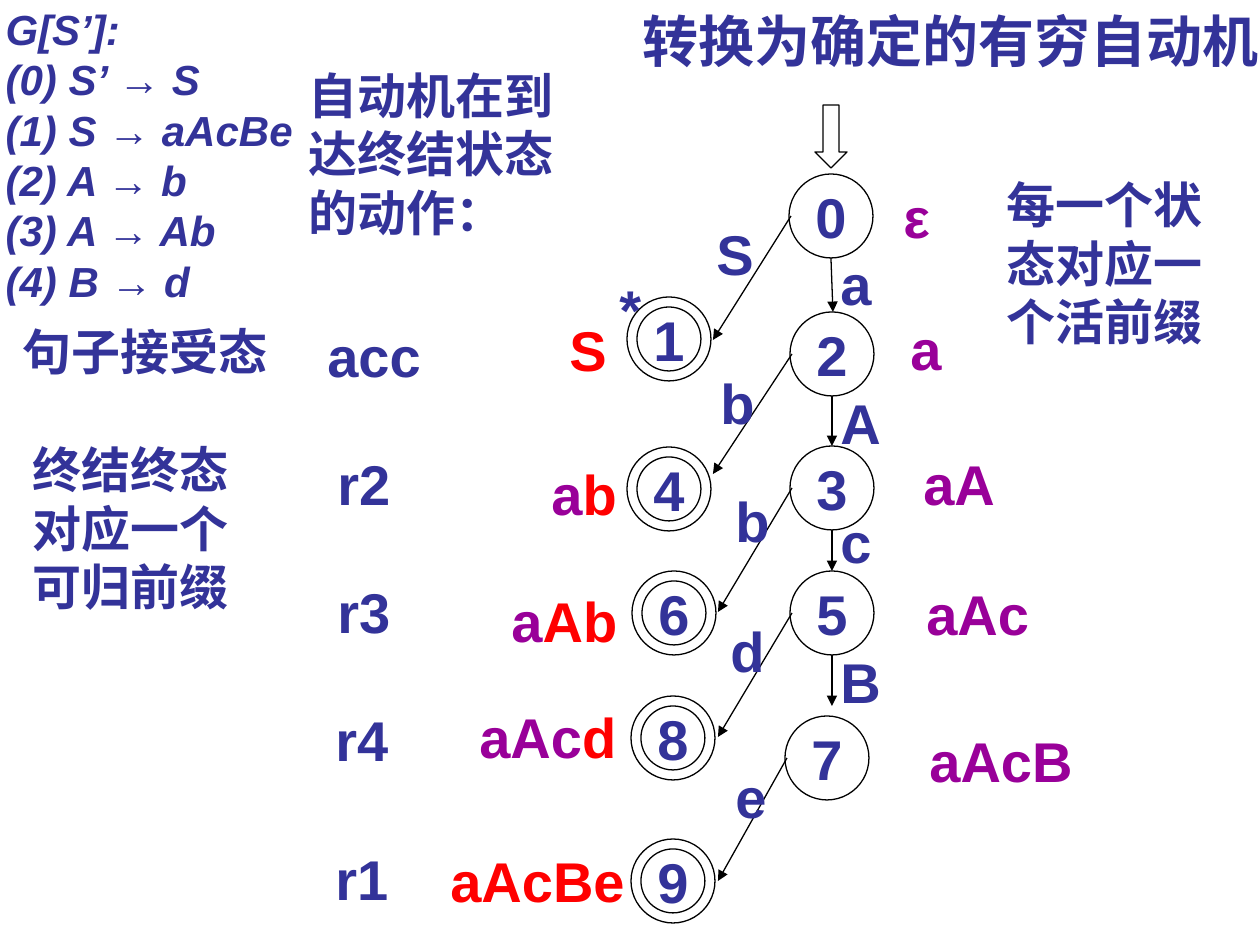
from lxml import etree
from pptx import Presentation
from pptx.dml.color import RGBColor
from pptx.enum.shapes import MSO_CONNECTOR, MSO_SHAPE
from pptx.enum.text import MSO_ANCHOR, MSO_AUTO_SIZE, PP_ALIGN
from pptx.oxml.ns import qn
from pptx.util import Pt

PX = 914400 // 126
STRAIGHT = MSO_CONNECTOR.STRAIGHT
OVAL, DOWN_ARROW = MSO_SHAPE.OVAL, MSO_SHAPE.DOWN_ARROW
TOP, MIDDLE = MSO_ANCHOR.TOP, MSO_ANCHOR.MIDDLE
LEFT, CENTER = PP_ALIGN.LEFT, PP_ALIGN.CENTER
NO_FIT = MSO_AUTO_SIZE.NONE

BLUE = RGBColor(0x33, 0x33, 0x99)
PURPLE = RGBColor(0x99, 0x00, 0x99)
RED = RGBColor(0xFF, 0x00, 0x00)
BLACK = RGBColor(0x00, 0x00, 0x00)
WHITE = RGBColor(0xFF, 0xFF, 0xFF)
FONT = "Arial"
CIRCLE, RING, LINE_HEIGHT, ACTION_WIDTH = 84, 10, 81, 126

# Content: positions are left, top (and width, height) in px
TITLE = ("转换为确定的有穷自动机", (630, 0, 689, LINE_HEIGHT))
GRAMMAR = (
    ["G[S’]:", "(0) S’ → S", "(1) S → aAcBe", "(2) A → b", "(3) A → Ab", "(4) B → d"],
    (-7, -3, 341, 318),
)
STATES = {"0": (789, 174), "2": (790, 312), "3": (790, 446), "5": (790, 571), "7": (785, 716)}
FINAL_STATES = {"8": (631, 696), "9": (631, 839), "6": (632, 571), "4": (627, 447), "1": (627, 297)}

# Source state, arrow end, label, label position
DOWN_EDGES = [
    ("0", (833, 312), "a", (828, 243)),
    ("2", (832, 446), "A", (828, 382)),
    ("3", (832, 571), "c", (828, 501)),
    ("5", (832, 706), "B", (828, 641)),
]
LEFT_EDGES = [
    ("0", (713, 340), "S", (704, 213)),
    ("2", (713, 474), "b", (708, 362)),
    ("3", (718, 612), "b", (723, 480)),
    ("5", (718, 737), "d", (718, 610)),
    ("7", (718, 881), "e", (723, 756)),
]
# Coloured pieces, position and width
PREFIXES = [
    ([("ε", PURPLE)], (891, 176, 62)),
    ([("S", RED)], (557, 309, 82)),
    ([("a", PURPLE)], (898, 308, 57)),
    ([("a", PURPLE), ("b", RED)], (539, 453, 91)),
    ([("aA", PURPLE)], (911, 443, 98)),
    ([("a", PURPLE), ("Ab", RED)], (499, 580, 132)),
    ([("aAc", PURPLE)], (914, 573, 129)),
    ([("aAc", PURPLE), ("d", RED)], (467, 696, 164)),
    ([("aAcB", PURPLE)], (917, 720, 170)),
    ([("aAcBe", RED)], (438, 840, 202)),
]
ACTIONS = [
    ("acc", (315, 315)),
    ("r2", (325, 443)),
    ("r3", (325, 571)),
    ("r4", (323, 699)),
    ("r1", (323, 838)),
]
NOTES = [
    (["句子接受态"], (10, 315, 369, 72)),
    (["终结终态", "对应一个", "可归前缀"], (20, 433, 273, 190)),
    (["每一个状态对应一个活前缀"], (994, 168, 260, 190)),
    (["自动机在到达终结状态的动作："], (296, 59, 295, 190)),
]
ACCEPT_MARK = ("*", (607, 268, 59, LINE_HEIGHT))
START_ARROW = (815, 105, 32, 63)


def emu(*lengths):
    return [length * PX for length in lengths]


def style_font(font, size, color=BLUE):
    font.name, font.size, font.bold = FONT, Pt(size), True
    font.color.rgb = color


def fill_frame(frame, lines, size):
    frame.text = "\n".join(lines)
    for para in frame.paragraphs:
        for span in para.runs:
            style_font(span.font, size)


def add_text(slide, lines, area, size=32):
    box = slide.shapes.add_textbox(*emu(*area))
    box.text_frame.word_wrap = True
    fill_frame(box.text_frame, lines, size)


def add_prefix(slide, pieces, place):
    box = slide.shapes.add_textbox(*emu(*place, LINE_HEIGHT))
    box.text_frame.word_wrap = False
    para = box.text_frame.paragraphs[0]
    for text, color in pieces:
        span = para.add_run()
        span.text = text
        style_font(span.font, 32, color)


def add_outline(shapes, kind, area):
    shape = shapes.add_shape(kind, *emu(*area))
    shape.shadow.inherit = False
    shape.fill.solid()
    shape.fill.fore_color.rgb = WHITE
    shape.line.color.rgb = BLACK
    shape.line.width = Pt(0.75)
    return shape


def add_circle(shapes, left, top, size, name=None):
    circle = add_outline(shapes, OVAL, (left, top, size, size))
    if name:
        frame = circle.text_frame
        frame.word_wrap = False
        frame.vertical_anchor = MIDDLE
        fill_frame(frame, [name], 32)
        frame.paragraphs[0].alignment = CENTER


def add_edge(slide, start, end, label, place):
    arrow = slide.shapes.add_connector(STRAIGHT, *emu(*start, *end))
    arrow.line.color.rgb = BLACK
    arrow.line.width = Pt(0.75)
    etree.SubElement(arrow.line._get_or_add_ln(), qn("a:tailEnd"), type="triangle")
    etree.SubElement(arrow._element.spPr, qn("a:effectLst"))
    add_text(slide, [label], (*place, CIRCLE, LINE_HEIGHT))


def fill_placeholder(holder, lines, area, size):
    holder.left, holder.top, holder.width, holder.height = emu(*area)
    frame = holder.text_frame
    frame.auto_size = NO_FIT
    frame.vertical_anchor = TOP
    fill_frame(frame, lines, size)
    for para in frame.paragraphs:
        properties = para._p.get_or_add_pPr()
        properties.set("marL", "0")
        properties.set("indent", "0")
        etree.SubElement(properties, qn("a:buNone"))
        para.alignment = LEFT
        para.space_before = Pt(0)


def main():
    deck = Presentation()
    deck.slide_width, deck.slide_height = emu(1260, 945)
    slide = deck.slides.add_slide(deck.slide_layouts[1])

    # Title and grammar
    title, body = slide.placeholders
    fill_placeholder(title, [TITLE[0]], TITLE[1], 32)
    fill_placeholder(body, *GRAMMAR, 24)
    for para in body.text_frame.paragraphs:
        para.runs[0].font.italic = True

    # States
    for name, (left, top) in STATES.items():
        add_circle(slide.shapes, left, top, CIRCLE, name)
    for name, (left, top) in FINAL_STATES.items():
        group = slide.shapes.add_group_shape()
        add_circle(group.shapes, left, top, CIRCLE)
        add_circle(group.shapes, left + RING, top + RING, CIRCLE - 2 * RING, name)

    # Transitions
    add_outline(slide.shapes, DOWN_ARROW, START_ARROW)
    for source, end, label, place in DOWN_EDGES:
        left, top = STATES[source]
        add_edge(slide, (left + CIRCLE // 2, top + CIRCLE), end, label, place)
    for source, end, label, place in LEFT_EDGES:
        left, top = STATES[source]
        add_edge(slide, (left + 2, top + CIRCLE // 2), end, label, place)

    # Prefixes, actions and remarks
    for pieces, place in PREFIXES:
        add_prefix(slide, pieces, place)
    for action, place in ACTIONS:
        add_text(slide, [action], (*place, ACTION_WIDTH, LINE_HEIGHT))
    for lines, area in NOTES:
        add_text(slide, lines, area, 28)
    add_text(slide, [ACCEPT_MARK[0]], ACCEPT_MARK[1])

    deck.save("out.pptx")


if __name__ == "__main__":
    main()
